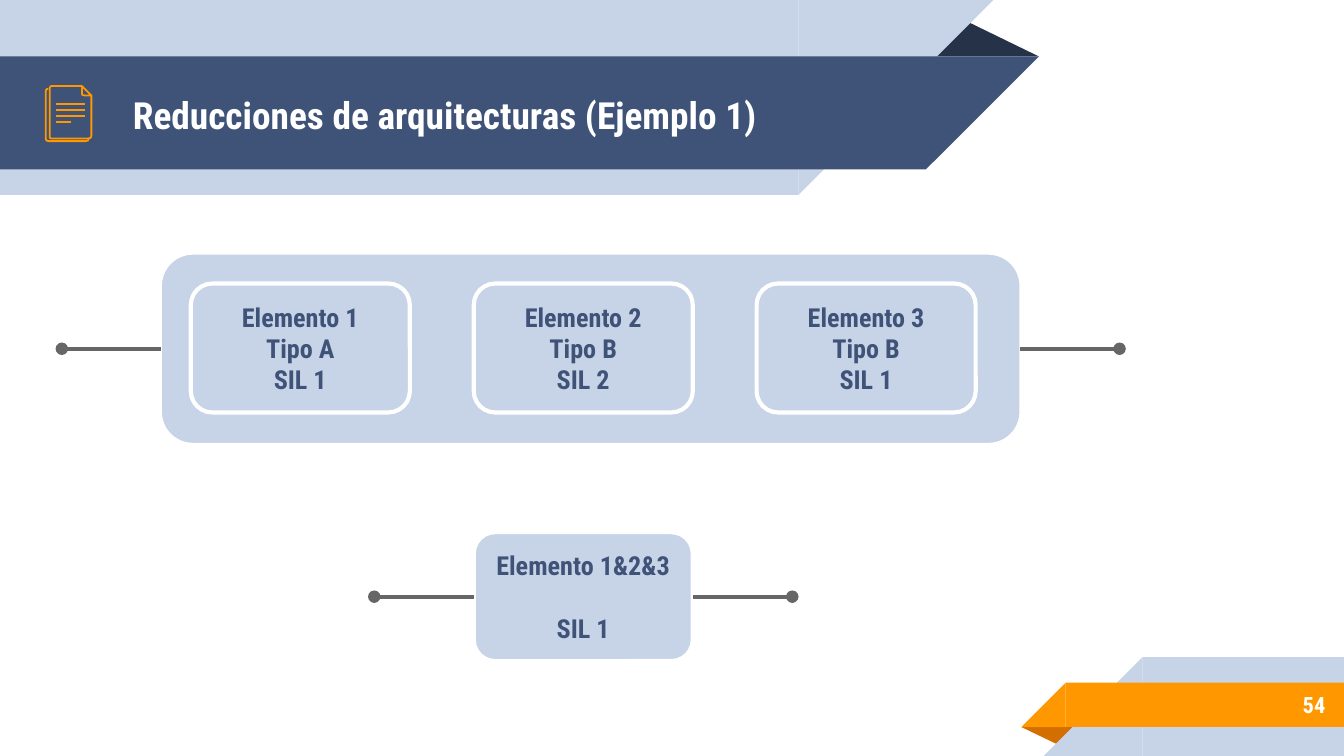
from dataclasses import dataclass

import pptx
import pptx.dml.color
import pptx.enum.shapes
import pptx.enum.text
import pptx.oxml
import pptx.oxml.ns
import pptx.util

RGBColor = pptx.dml.color.RGBColor
Shape = pptx.enum.shapes.MSO_SHAPE
Align = pptx.enum.text.PP_ALIGN

NAVY = RGBColor(0x3F, 0x53, 0x78)
DARK_NAVY = RGBColor(0x26, 0x32, 0x48)
PALE_BLUE = RGBColor(0xC7, 0xD3, 0xE6)
ORANGE = RGBColor(0xFF, 0x98, 0x00)
DARK_ORANGE = RGBColor(0xD2, 0x6F, 0x00)
GRAY = RGBColor(0x66, 0x66, 0x66)
WHITE = RGBColor(0xFF, 0xFF, 0xFF)

FONT = "Roboto Condensed"
COLUMNS, ROWS = 100, 56.25
ELEMENT_PITCH = 21.05
WIRE_LENGTH = 7.4
ICON_LINE = 0.96


@dataclass(frozen=True)
class Area:
    left: float
    top: float
    width: float
    height: float


@dataclass(frozen=True)
class Band:
    area: Area
    color: RGBColor
    tip_on_right: bool


@dataclass(frozen=True)
class Fold:
    area: Area
    color: RGBColor
    rotation: int


@dataclass(frozen=True)
class Block:
    area: Area
    text: str = ""
    line_width: float = 2.25
    gap: float = 0


@dataclass(frozen=True)
class Outline:
    points: tuple
    closed: bool = False


TOP_FOLD = Fold(Area(68.8, 1.4, 8.5, 2.8), DARK_NAVY, 0)
TOP_BANDS = (
    Band(Area(0, 0, 59.4, 14.5), PALE_BLUE, True),
    Band(Area(0, 4.2, 68.9, 8.4), NAVY, True),
)
BOTTOM_FOLD = Fold(Area(76, 54.1, 4.3, 1.4), DARK_ORANGE, 180)
BOTTOM_BANDS = (
    Band(Area(85, 48.9, 15, 7.35), PALE_BLUE, False),
    Band(Area(79.3, 50.8, 20.7, 3.3), ORANGE, False),
)

PANEL = Block(Area(12, 18.9, 63.9, 14.1), line_width=0.75)
ELEMENTS = ("Elemento 1\nTipo A\nSIL 1", "Elemento 2\nTipo B\nSIL 2", "Elemento 3\nTipo B\nSIL 1")
RESULT = Block(Area(35.25, 39.6, 16.3, 9.6), "Elemento 1&2&3\nSIL 1", gap=16.5)

ICON_OUTLINES = (
    Outline(((6.6, 10.3), (6.55, 10.45), (6.4, 10.5), (3.6, 10.5), (3.45, 10.45),
             (3.4, 10.3), (3.4, 6.8), (3.45, 6.65), (3.6, 6.6))),
    Outline(((6.8, 7.1), (6.8, 10.1), (6.75, 10.25), (6.6, 10.3), (3.8, 10.3), (3.7, 10.25),
             (3.7, 6.5), (3.8, 6.4), (6.1, 6.4))),
    Outline(((6.1, 7), (6.1, 6.4), (6.8, 7.1), (6.3, 7.1), (6.15, 7.08)), True),
)
ICON_TEXT_WIDTHS = (2.1, 2.1, 2.1, 1.1)

presentation = pptx.Presentation()
presentation.slide_width = pptx.util.Inches(10)
presentation.slide_height = pptx.util.Inches(5.625)
slide = presentation.slides.add_slide(presentation.slide_layouts[6])


def across(columns: float) -> int:
    return round(presentation.slide_width * columns / COLUMNS)


def down(rows: float) -> int:
    return round(presentation.slide_height * rows / ROWS)


def place(area: Area) -> tuple:
    return across(area.left), down(area.top), across(area.width), down(area.height)


def add_filled(kind, area: Area, color: RGBColor):
    shape = slide.shapes.add_shape(kind, *place(area))
    shape.shadow.inherit = False
    shape.fill.solid()
    shape.fill.fore_color.rgb = color
    shape.line.fill.background()
    return shape


def write(shape, text: str, *, size: float, color: RGBColor, align=Align.LEFT, gap: float = 0) -> None:
    frame = shape.text_frame
    frame.word_wrap = True
    frame.vertical_anchor = pptx.enum.text.MSO_ANCHOR.MIDDLE
    frame.margin_left = frame.margin_right = pptx.util.Inches(0.1)
    frame.margin_top = frame.margin_bottom = pptx.util.Inches(0.1)
    frame.text = text
    for index, paragraph in enumerate(frame.paragraphs):
        paragraph.alignment = align
        paragraph.space_before = pptx.util.Pt(gap if index else 0)
        paragraph.font.name = FONT
        paragraph.font.size = pptx.util.Pt(size)
        paragraph.font.bold = True
        paragraph.font.color.rgb = color


def add_fold(fold: Fold) -> None:
    shape = add_filled(Shape.ISOSCELES_TRIANGLE, fold.area, fold.color)
    shape.adjustments[0] = 0.324
    shape.rotation = fold.rotation


def add_band(band: Band) -> None:
    area = band.area
    add_filled(Shape.RECTANGLE, area, band.color)
    tip_left = area.left + area.width if band.tip_on_right else area.left - area.height
    tip = add_filled(Shape.RIGHT_TRIANGLE, Area(tip_left, area.top, area.height, area.height), band.color)
    tip.element.spPr.xfrm.set("flipH", "1")
    tip.rotation = 180 if band.tip_on_right else 0


def add_block(block: Block):
    shape = add_filled(Shape.ROUNDED_RECTANGLE, block.area, PALE_BLUE)
    shape.line.color.rgb = WHITE
    shape.line.width = pptx.util.Pt(block.line_width)
    if block.text:
        write(shape, block.text, size=14, color=NAVY, align=Align.CENTER, gap=block.gap)
    return shape


def add_line(start: tuple, end: tuple, color: RGBColor, width: float):
    connector = slide.shapes.add_connector(
        pptx.enum.shapes.MSO_CONNECTOR.STRAIGHT,
        across(start[0]), down(start[1]), across(end[0]), down(end[1]),
    )
    connector.line.color.rgb = color
    connector.line.width = pptx.util.Pt(width)
    pptx.oxml.ns.qn("a:effectLst")
    connector.element.spPr.append(pptx.oxml.parse_xml(f"<a:effectLst {pptx.oxml.ns.nsdecls('a')}/>"))
    return connector


def add_wires(block: Block, shape) -> None:
    area = block.area
    middle = area.top + area.height / 2
    right = area.left + area.width
    for side, edge, terminal in ((1, area.left, area.left - WIRE_LENGTH), (3, right, right + WIRE_LENGTH)):
        wire = add_line((terminal, middle), (edge, middle), GRAY, 2.25)
        wire.end_connect(shape, side)
        oval = pptx.oxml.parse_xml(f'<a:headEnd {pptx.oxml.ns.nsdecls("a")} type="oval"/>')
        wire.line._get_or_add_ln().append(oval)


def add_outline(outline: Outline) -> None:
    points = [(across(column), down(row)) for column, row in outline.points]
    builder = slide.shapes.build_freeform(*points[0])
    builder.add_line_segments(points[1:], close=outline.closed)
    shape = builder.convert_to_shape()
    shape.shadow.inherit = False
    shape.fill.background()
    shape.line.color.rgb = ORANGE
    shape.line.width = pptx.util.Pt(ICON_LINE)


def add_text(area: Area, text: str, **text_format) -> None:
    write(slide.shapes.add_textbox(*place(area)), text, **text_format)


for fold, bands in ((TOP_FOLD, TOP_BANDS), (BOTTOM_FOLD, BOTTOM_BANDS)):
    add_fold(fold)
    for band in bands:
        add_band(band)

add_text(Area(8.9, 4.3, 57.5, 8.4), "Reducciones de arquitecturas (Ejemplo 1)", size=20, color=WHITE)
add_text(Area(83.3, 50.7, 16.3, 3.5), "54", size=12, color=WHITE, align=Align.RIGHT)

for outline in ICON_OUTLINES:
    add_outline(outline)
for index, length in enumerate(ICON_TEXT_WIDTHS):
    row = 7.75 + 0.45 * index
    add_line((4.2, row), (4.2 + length, row), ORANGE, ICON_LINE)

add_wires(PANEL, add_block(PANEL))
for index, text in enumerate(ELEMENTS):
    add_block(Block(Area(14.2 + ELEMENT_PITCH * index, 21.1, 16.3, 9.6), text))
add_wires(RESULT, add_block(RESULT))

presentation.save("out.pptx")
